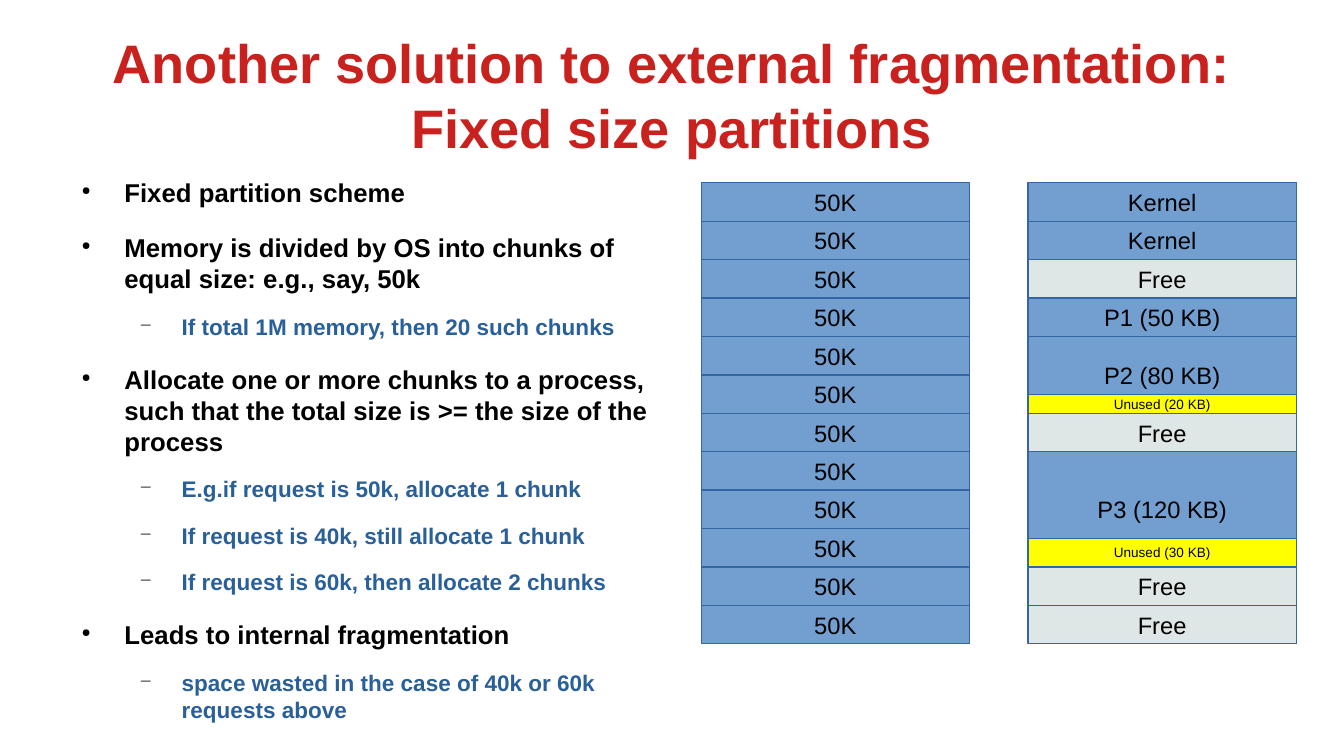
"""Build a slide on fixed size memory partitions."""
from lxml import etree
from pptx import Presentation
from pptx import util as u
from pptx.dml.color import RGBColor
from pptx.enum import shapes, text
from pptx.oxml import ns

WIDTH, HEIGHT = 11.02, 6.2
FONT = "Arial"
COLOURS = {"title": "C9211E", "text": "000000", "detail": "2A6099", "used": "729FCF",
           "free": "DEE7E5", "unused": "FFFF00", "edge": "3465A4"}
TITLE = "Another solution to external fragmentation: Fixed size partitions"
POINTS = [
    (0, "Fixed partition scheme"),
    (0, "Memory is divided by OS into chunks of equal size: e.g., say, 50k"),
    (1, "If total 1M memory, then 20 such chunks"),
    (0, "Allocate one or more chunks to a process, such that the total size is >= "
        "the size of the process"),
    (1, "E.g.if request is 50k, allocate 1 chunk"),
    (1, "If request is 40k, still allocate 1 chunk"),
    (1, "If request is 60k, then allocate 2 chunks"),
    (0, "Leads to internal fragmentation"),
    (1, "space wasted in the case of 40k or 60k requests above"),
]
LEVELS = [
    {"size": 15.2, "colour": "text", "before": 14.2, "bullet": "●", "percent": 45},
    {"size": 13.3, "colour": "detail", "before": 11.3, "bullet": "−", "percent": 75},
]
CHUNK_KB, CHUNK_COUNT = 50, 12
ALLOCATION = [
    ("Kernel", 1, "used", 0),
    ("Kernel", 1, "used", 0),
    ("Free", 1, "free", 0),
    ("P1 (50 KB)", 1, "used", 0),
    ("P2 (80 KB)", 2, "used", 20),
    ("Free", 1, "free", 0),
    ("P3 (120 KB)", 3, "used", 30),
    ("Free", 1, "free", 0),
    ("Free", 1, "free", 0),
]
LEFT, BODY_TOP = 0.55, 1.45
INDENT, HANGING = 0.47, 0.35
MEMORY_TOP, CHUNK_HEIGHT, MEMORY_WIDTH = 1.5, 0.315, 2.2
CHUNKS_LEFT, ALLOCATION_LEFT = 5.75, 8.43


def colour(name):
    return RGBColor.from_string(COLOURS[name])


def add_span(para, words, size, name, bold=False):
    span = para.add_run()
    span.text = words
    span.font.name, span.font.size, span.font.bold = FONT, u.Pt(size), bold
    span.font.color.rgb = colour(name)


def add_text_box(page, left, top, width, height, anchor):
    box = page.shapes.add_textbox(*map(u.Inches, (left, top, width, height)))
    frame = box.text_frame
    frame.word_wrap, frame.vertical_anchor = True, anchor
    frame.margin_left = frame.margin_right = frame.margin_top = frame.margin_bottom = 0
    return frame


def add_bullet(para, depth, level):
    props = para._p.get_or_add_pPr()
    props.set("marL", str(u.Inches(INDENT * (depth + 1))))
    props.set("indent", str(-u.Inches(HANGING)))
    tint = etree.SubElement(props, ns.qn("a:buClr"))
    etree.SubElement(tint, ns.qn("a:srgbClr"), val=COLOURS["text"])
    etree.SubElement(props, ns.qn("a:buSzPct"), val=str(level["percent"] * 1000))
    etree.SubElement(props, ns.qn("a:buChar"), char=level["bullet"])


def add_block(page, left, row, rows, words, fill, size=14):
    top = MEMORY_TOP + row * CHUNK_HEIGHT
    block = page.shapes.add_shape(
        shapes.MSO_SHAPE.RECTANGLE,
        *map(u.Inches, (left, top, MEMORY_WIDTH, rows * CHUNK_HEIGHT)))
    block.shadow.inherit = False
    block.fill.solid()
    block.fill.fore_color.rgb = colour(fill)
    block.line.color.rgb = colour("edge")
    block.line.width = 0
    frame = block.text_frame
    frame.word_wrap, frame.vertical_anchor = False, text.MSO_ANCHOR.MIDDLE
    para = frame.paragraphs[0]
    para.alignment = text.PP_ALIGN.CENTER
    add_span(para, words, size, "text")


def add_title(page):
    frame = add_text_box(page, LEFT, 0.25, WIDTH - 2 * LEFT, 1.04, text.MSO_ANCHOR.MIDDLE)
    para = frame.paragraphs[0]
    para.alignment = text.PP_ALIGN.CENTER
    add_span(para, TITLE, 32, "title", bold=True)


def add_points(page):
    frame = add_text_box(page, LEFT, BODY_TOP, 4.84, 3.6, text.MSO_ANCHOR.TOP)
    for index, (depth, words) in enumerate(POINTS):
        para = frame.add_paragraph() if index else frame.paragraphs[0]
        level = LEVELS[depth]
        para.level = depth
        para.space_before = u.Pt(level["before"])
        add_bullet(para, depth, level)
        add_span(para, words, level["size"], level["colour"], bold=True)


def add_memory(page):
    for row in range(CHUNK_COUNT):
        add_block(page, CHUNKS_LEFT, row, 1, f"{CHUNK_KB}K", "used")
    row = 0
    for words, rows, fill, unused in ALLOCATION:
        add_block(page, ALLOCATION_LEFT, row, rows, words, fill)
        row += rows
        if unused:
            share = unused / CHUNK_KB
            if unused == 30:
                share = 0.75
            elif unused == 20:
                share = 0.5
            add_block(page, ALLOCATION_LEFT, row - share, share,
                      f"Unused ({unused} KB)", "unused", size=8)


def main():
    deck = Presentation()
    deck.slide_width, deck.slide_height = u.Inches(WIDTH), u.Inches(HEIGHT)
    page = deck.slides.add_slide(deck.slide_layouts[6])
    add_title(page)
    add_points(page)
    add_memory(page)
    deck.save("out.pptx")


if __name__ == "__main__":
    main()
